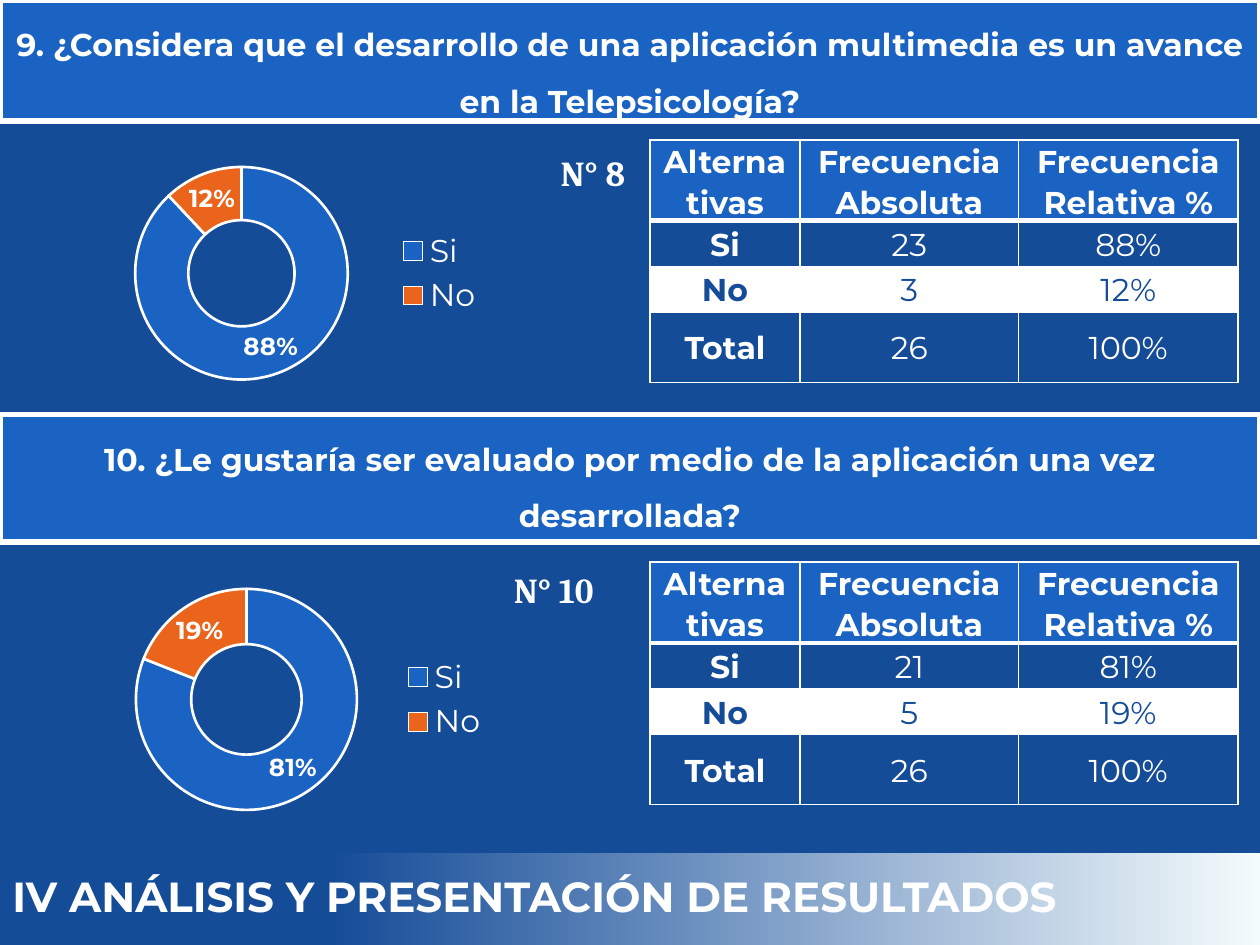
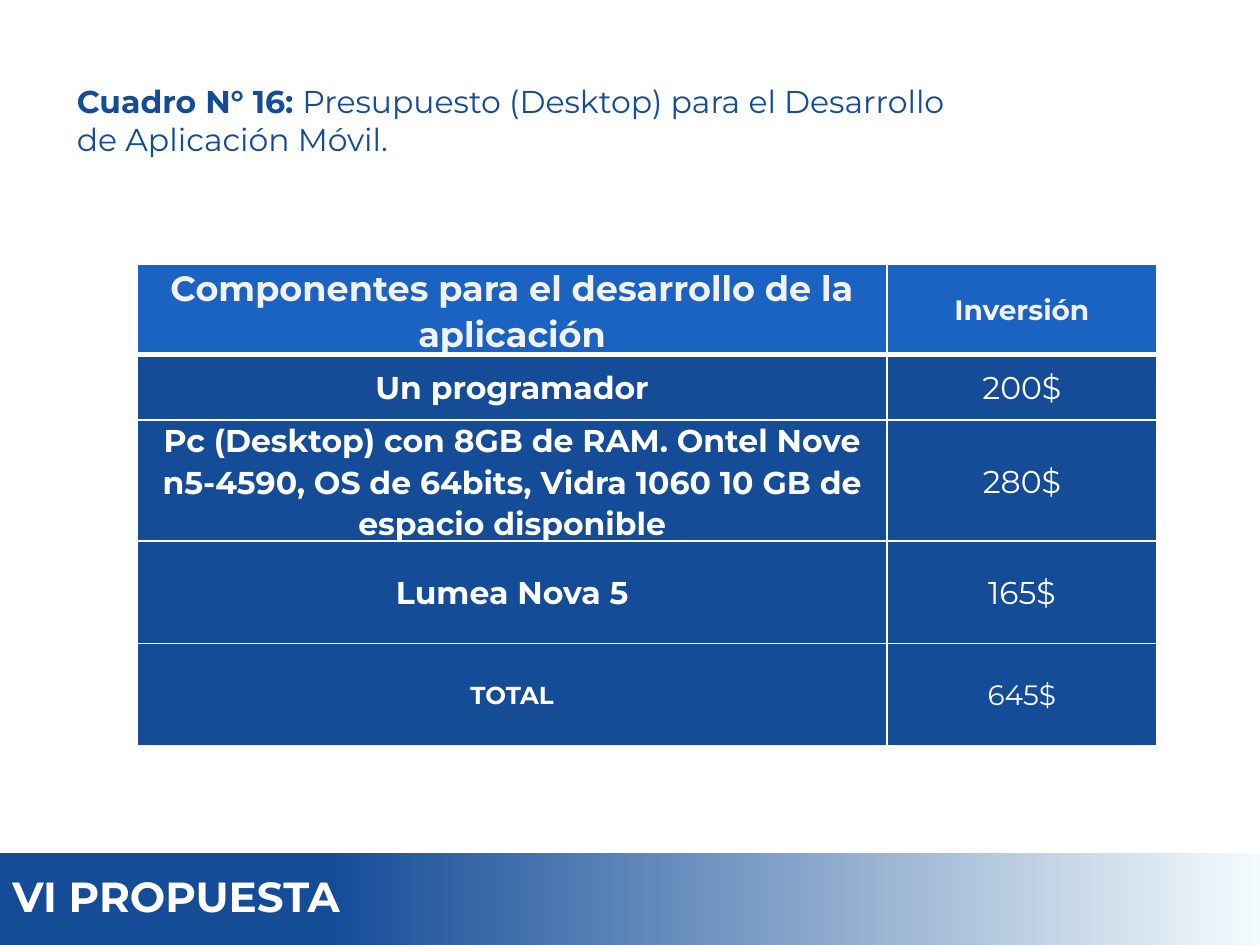
from lxml import etree
from pptx import Presentation
from pptx import util as u
from pptx.chart.data import CategoryChartData
from pptx.dml.color import RGBColor
from pptx.enum import chart, shapes, text
from pptx.oxml.ns import qn

C = {"navy": "154C98", "blue": "1B63C3", "orange": "EB641B",
     "white": "FFFFFF", "pale": "F2F2F2", "mist": "F4FBFC", "black": "000000"}
RGB = {k: RGBColor.from_string(v) for k, v in C.items()}
CENTER = {"alignment": text.PP_ALIGN.CENTER, "space_after": u.Pt(8)}


def style(font, size, color="white", bold=False, name="Montserrat"):
    values = {"size": u.Pt(size), "bold": bold, "name": name}
    for key, value in values.items():
        setattr(font, key, value)
    font.color.rgb = RGB[color]


def add_grid(s, box, cols, heights, rows, look):
    """look(row, col) gives the cell fill (or None), text size, colour and bold."""
    tbl = s.shapes.add_table(len(rows), len(cols), *map(u.Cm, box)).table
    for c, width in enumerate(cols):
        tbl.columns[c].width = u.Cm(width)
    for r, row in enumerate(rows):
        tbl.rows[r].height = u.Cm(heights[r])
        for c, words in enumerate(row):
            cell = tbl.cell(r, c)
            fill, size, color, bold = look(r, c)
            margins = {"margin_left": u.Cm(0.18), "margin_right": u.Cm(0.18),
                       "margin_top": 0, "margin_bottom": 0,
                       "vertical_anchor": text.MSO_ANCHOR.MIDDLE}
            for key, value in margins.items():
                setattr(cell, key, value)
            # Borders: the rule under the header is thicker
            widths = {"lnL": 1, "lnR": 1, "lnT": 3 if r == 1 else 1, "lnB": 3 if r == 0 else 1}
            for side, points in widths.items():
                ln = etree.SubElement(cell._tc.get_or_add_tcPr(), qn("a:" + side),
                                      w=str(u.Pt(points)))
                solid = etree.SubElement(ln, qn("a:solidFill"))
                etree.SubElement(solid, qn("a:srgbClr"), val=C["white"])
            if fill:
                cell.fill.solid()
                cell.fill.fore_color.rgb = RGB[fill]
            else:
                cell.fill.background()
            p = cell.text_frame.paragraphs[0]
            for key, value in {**CENTER, "line_spacing": 1.07}.items():
                setattr(p, key, value)
            run = p.add_run()
            run.text = words
            style(run.font, size, color, bold)


prs = Presentation()
prs.slide_width, prs.slide_height = u.Cm(25.4), u.Cm(19.05)

# Slides with background and gradient footer
slides = []
for background, footer in (("navy", "IV ANÁLISIS Y PRESENTACIÓN DE RESULTADOS"),
                           ("white", "VI PROPUESTA")):
    s = prs.slides.add_slide(prs.slide_layouts[6])
    s.background.fill.solid()
    s.background.fill.fore_color.rgb = RGB[background]
    sp = s.shapes.add_shape(shapes.MSO_SHAPE.RECTANGLE, 0, u.Cm(17.2), u.Cm(25.4), u.Cm(1.85))
    sp.shadow.inherit = False
    sp.line.fill.background()
    sp.fill.gradient()
    sp.fill.gradient_angle = 180
    for stop, (position, color) in zip(sp.fill.gradient_stops, ((0, "mist"), (0.74, "navy"))):
        stop.position = position
        stop.color.rgb = RGB[color]
    tf = sp.text_frame
    tf.word_wrap = True
    tf.vertical_anchor = text.MSO_ANCHOR.MIDDLE
    p = tf.paragraphs[0]
    p.alignment = text.PP_ALIGN.LEFT
    p.line_spacing = 0.9
    r = p.add_run()
    r.text = footer
    style(r.font, 24, bold=True)
    slides.append(s)

# Slide 1: survey questions
s = slides[0]
questions = [
    {"title": "9. ¿Considera que el desarrollo de una aplicación multimedia es un avance "
              "en la Telepsicología?",
     "band": (0, 0, 25.4, 2.44), "table_top": 2.82, "chart": (1.8, 2.74, 8.2, 5.54),
     "label": "N° 8", "label_box": (11.05, 2.92, 2.06, 1.12), "counts": (23, 3)},
    {"title": "10. ¿Le gustaría ser evaluado por medio de la aplicación una vez desarrollada?",
     "band": (0, 8.36, 25.4, 2.57), "table_top": 11.33, "chart": (1.9, 11.33, 8.2, 5.54),
     "label": "N° 10", "label_box": (10.11, 11.33, 2.51, 1.12), "counts": (21, 5)},
]


def survey_look(row, col):
    fill = ("blue", "navy", "white", None)[row]
    return fill, 18, "navy" if fill == "white" else "white", row == 0 or col == 0


for q in questions:
    # Question band
    sp = s.shapes.add_shape(shapes.MSO_SHAPE.RECTANGLE, *map(u.Cm, q["band"]))
    sp.shadow.inherit = False
    sp.fill.solid()
    sp.fill.fore_color.rgb = RGB["blue"]
    sp.line.color.rgb = RGB["white"]
    sp.line.width = u.Pt(3)
    tf = sp.text_frame
    tf.word_wrap = True
    tf.vertical_anchor = text.MSO_ANCHOR.TOP
    tf.auto_size = text.MSO_AUTO_SIZE.SHAPE_TO_FIT_TEXT
    p = tf.paragraphs[0]
    for key, value in {**CENTER, "line_spacing": 1.5}.items():
        setattr(p, key, value)
    r = p.add_run()
    r.text = q["title"]
    style(r.font, 18, bold=True)

    # Frequency table
    total = sum(q["counts"])
    shares = [round(n / total, 2) for n in q["counts"]]
    rows = [("Alternativas", "Frecuencia Absoluta", "Frecuencia Relativa %")]
    rows += [(name, str(n), f"{share:.0%}")
             for name, n, share in zip(("Si", "No"), q["counts"], shares)]
    rows.append(("Total", str(total), "100%"))
    add_grid(s, (13.1, q["table_top"], 11.86, 4.85), (3.03, 4.4, 4.43),
             (1.52, 0.92, 0.92, 1.42), rows, survey_look)

    # Doughnut chart
    data = CategoryChartData(number_format="0%")
    data.categories = ["Si", "No"]
    data.add_series("Series 1", shares)
    ch = s.shapes.add_chart(chart.XL_CHART_TYPE.DOUGHNUT, *map(u.Cm, q["chart"]), data).chart
    style(ch.font, 10, "black", name="Cambria")
    ch.has_title = False
    ch.has_legend = True
    ch.legend.position = chart.XL_LEGEND_POSITION.RIGHT
    ch.legend.include_in_layout = False
    style(ch.legend.font, 18)
    plot = ch.plots[0]
    plot.vary_by_categories = True
    for i, color in enumerate(("blue", "orange")):
        fmt = plot.series[0].points[i].format
        fmt.fill.solid()
        fmt.fill.fore_color.rgb = RGB[color]
        fmt.line.color.rgb = RGB["white"]
        fmt.line.width = u.Pt(1.5)
    labels = plot.series[0].data_labels
    for key, value in {"show_value": True, "show_percentage": False, "number_format": "0%",
                       "number_format_is_linked": False}.items():
        setattr(labels, key, value)
    style(labels.font, 14, bold=True)

    # Chart number
    tf = s.shapes.add_textbox(*map(u.Cm, q["label_box"])).text_frame
    tf.word_wrap = True
    tf.auto_size = text.MSO_AUTO_SIZE.SHAPE_TO_FIT_TEXT
    r = tf.paragraphs[0].add_run()
    r.text = q["label"]
    style(r.font, 20, bold=True, name="Cambria")

# Slide 2: caption
s = slides[1]
tf = s.shapes.add_textbox(*map(u.Cm, (1.3, 1.52, 20.17, 1.8))).text_frame
tf.word_wrap = False
tf.auto_size = text.MSO_AUTO_SIZE.SHAPE_TO_FIT_TEXT
tf.vertical_anchor = text.MSO_ANCHOR.MIDDLE
caption = [[("Cuadro N° 16: ", True), ("Presupuesto (Desktop) para el Desarrollo", False)],
           [("de Aplicación Móvil.", False)]]
for i, line in enumerate(caption):
    p = tf.add_paragraph() if i else tf.paragraphs[0]
    for words, bold in line:
        r = p.add_run()
        r.text = words
        style(r.font, 18, "navy", bold)

# Slide 2: budget table
budget = [
    ("Componentes para el desarrollo de la aplicación", "Inversión"),
    ("Un programador", "200$"),
    ("Pc (Desktop) con 8GB de RAM. Ontel Nove n5-4590, OS de 64bits, Vidra 1060 10 GB de "
     "espacio disponible", "280$"),
    ("Lumea Nova 5", "165$"),
    ("TOTAL", "645$"),
]
sizes = [(20, 16), (18, 18), (18, 18), (18, 18), (14, 16)]
add_grid(s, (2.77, 5.33, 20.55, 9.63), (15.11, 5.44), (1.6, 1.32, 1.32, 2.06, 2.06), budget,
         lambda row, col: ("navy" if row else "blue", sizes[row][col],
                           "white" if row else "pale", row == 0 or col == 0))

prs.save("out.pptx")
